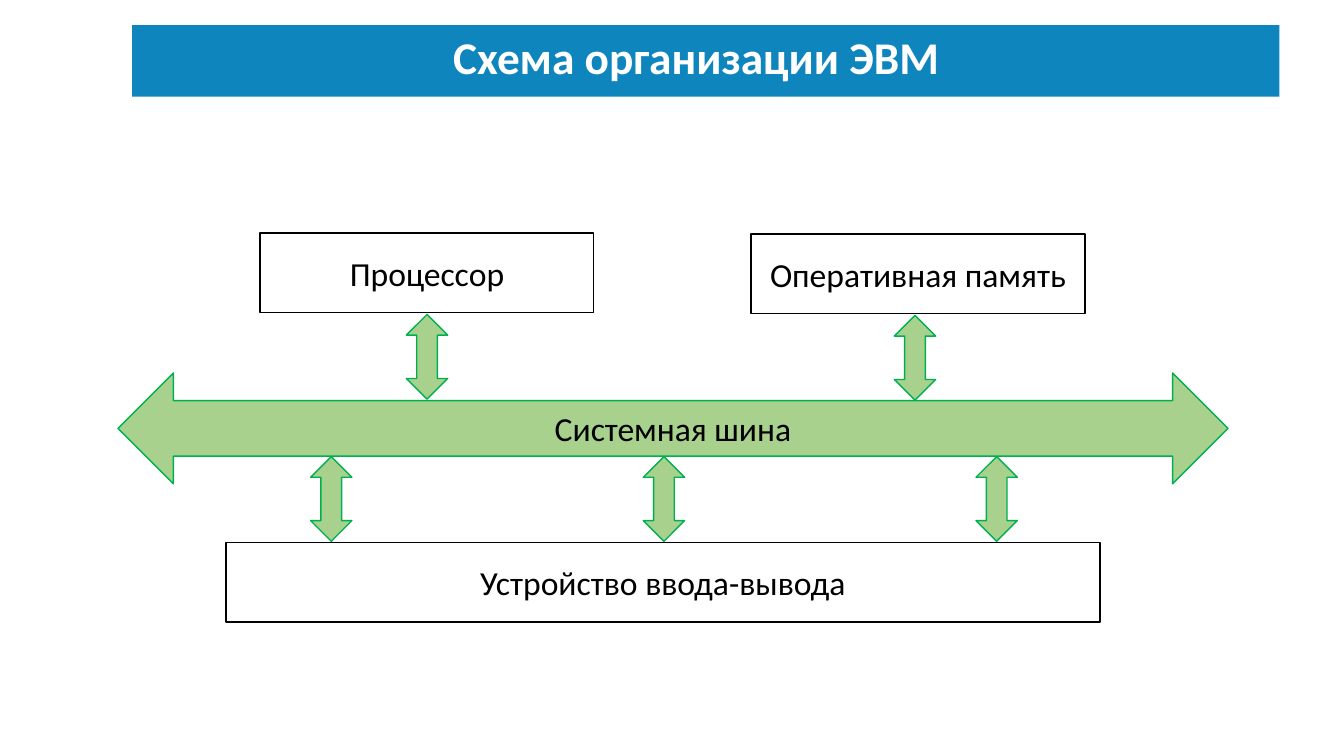
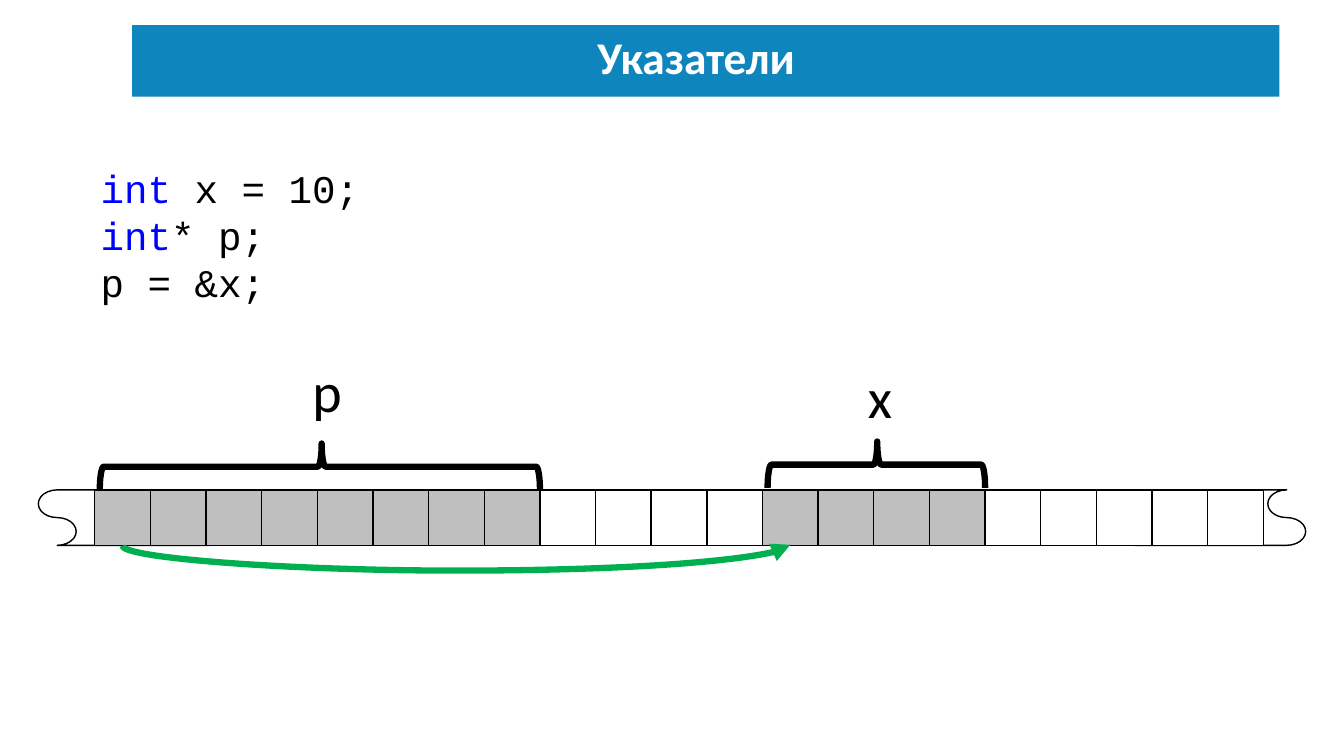
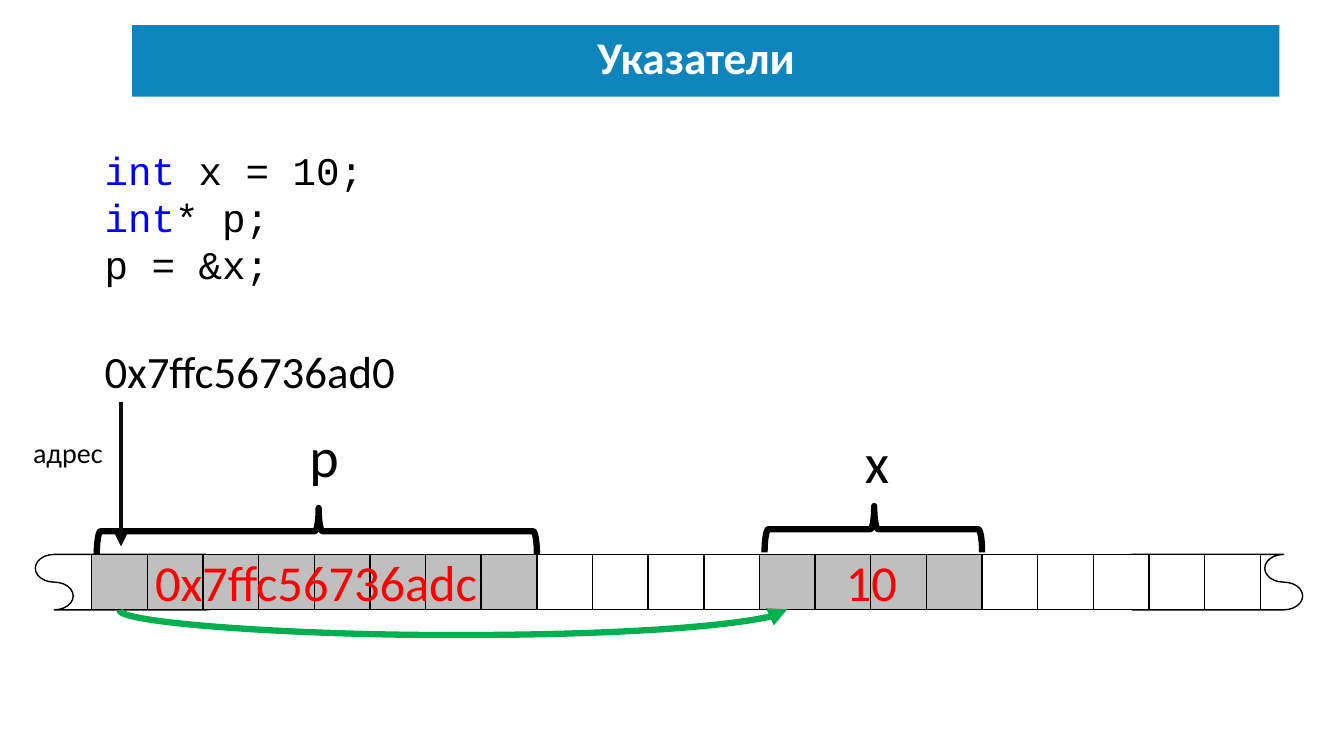
from dataclasses import dataclass

from lxml.etree import SubElement
from pptx import Presentation
from pptx.dml.color import RGBColor
from pptx.enum.shapes import MSO_CONNECTOR as Link, MSO_SHAPE as Preset
from pptx.enum.text import MSO_ANCHOR, MSO_AUTO_SIZE, PP_ALIGN
from pptx.oxml.ns import qn
from pptx.util import Inches, Pt


@dataclass(frozen=True)
class Theme:
    font: str = "Calibri"
    code_font: str = "Courier New"
    band: str = "0F85BE"
    white: str = "FFFFFF"
    black: str = "000000"
    bus: str = "A9D18E"
    green: str = "00B050"
    used_cell: str = "BFBFBF"
    keyword: str = "0000FF"
    value: str = "FF0000"
    pointer: str = "0D0D0D"
    title_size: float = 32.4
    box_size: int = 24
    code_size: int = 28
    name_size: int = 40
    value_size: int = 36
    address_size: int = 32
    note_size: int = 20
    thin: float = 1
    medium: float = 3
    thick: float = 4.5


THEME = Theme()

CELL_COUNT = 21
CELL = 11.59 / CELL_COUNT
CELL_HEIGHT = 0.55
P_CELLS = range(0, 8)
X_CELLS = range(12, 16)

CODE = [
    [("int", THEME.keyword), (" x = 10;", THEME.black)],
    [("int", THEME.keyword), ("* p;", THEME.black)],
    [("p = &x;", THEME.black)],
]


def rgb(value):
    return RGBColor.from_string(value)


def write(frame, lines, size, font=THEME.font, align=None, bold=None):
    """Fill a text frame; each line is a list of (text, colour) runs."""
    for index, runs in enumerate(lines):
        paragraph = frame.add_paragraph() if index else frame.paragraphs[0]
        paragraph.alignment = align
        for text, color in runs:
            run = paragraph.add_run()
            run.text = text
            run.font.name = font
            run.font.size = Pt(size)
            run.font.bold = bold
            run.font.color.rgb = rgb(color)


def add_figure(shapes, preset, left, top, width, height, fill=None,
               line=None, weight=THEME.thin, text=None):
    figure = shapes.add_shape(preset, Inches(left), Inches(top),
                              Inches(width), Inches(height))
    figure.shadow.inherit = False
    if fill:
        figure.fill.solid()
        figure.fill.fore_color.rgb = rgb(fill)
    else:
        figure.fill.background()
    if line:
        figure.line.color.rgb = rgb(line)
        figure.line.width = Pt(weight)
    else:
        figure.line.fill.background()
    if text:
        figure.text_frame.vertical_anchor = MSO_ANCHOR.MIDDLE
        write(figure.text_frame, [[(text, THEME.black)]], THEME.box_size,
              align=PP_ALIGN.CENTER)
    return figure


def add_turned(shapes, preset, left, top, width, height, angle, **style):
    """Add a figure turned by a quarter; the box is the one seen after turning."""
    shift = (width - height) / 2
    figure = add_figure(shapes, preset, left + shift, top - shift,
                        height, width, **style)
    figure.rotation = angle
    return figure


def add_text(slide, left, top, width, height, lines, size,
             font=THEME.font, wrap=True):
    box = slide.shapes.add_textbox(Inches(left), Inches(top),
                                   Inches(width), Inches(height))
    box.text_frame.word_wrap = wrap
    box.text_frame.auto_size = MSO_AUTO_SIZE.SHAPE_TO_FIT_TEXT
    write(box.text_frame, lines, size, font)


def add_arrow(slide, kind, start, end, color, weight):
    arrow = slide.shapes.add_connector(kind, *map(Inches, start + end))
    arrow.line.color.rgb = rgb(color)
    arrow.line.width = Pt(weight)
    properties = arrow.element.spPr
    SubElement(properties.find(qn("a:ln")), qn("a:tailEnd"), type="triangle")
    SubElement(properties, qn("a:effectLst"))
    return arrow


def add_sagging_arrow(slide, left, right, level, sag):
    """Curved arrow between two points of one level, bending below it."""
    middle, half, depth = (left + right) / 2, (right - left) / 2, 0.01
    arrow = add_arrow(slide, Link.CURVE,
                      (middle + depth / 2, level + half),
                      (middle - depth / 2, level - half),
                      THEME.green, THEME.thick)
    properties = arrow.element.spPr
    properties.find(qn("a:xfrm")).set("rot", str(90 * 60000))
    geometry = properties.find(qn("a:prstGeom"))
    guides = geometry.find(qn("a:avLst"))
    if guides is None:
        guides = SubElement(geometry, qn("a:avLst"))
    SubElement(guides, qn("a:gd"), name="adj1",
               fmla=f"val {round(-sag / depth * 100000)}")


def add_band(slide):
    """Draw the title band and hand it to the layout of the slide."""
    band = add_figure(slide.shapes, Preset.RECTANGLE, 1.31, 0.25, 11.38, 0.71,
                      fill=THEME.band)
    band.element.nvSpPr.cNvPr.id = 20
    slide.slide_layout.shapes.element.insert(2, band.element)


def add_titled_slide(deck, layout, text):
    slide = deck.slides.add_slide(layout)
    title = slide.shapes.title
    title.left, title.top = Inches(1.31), Inches(0.32)
    title.width, title.height = Inches(11.19), Inches(0.55)
    frame = title.text_frame
    frame.word_wrap = True
    frame.auto_size = MSO_AUTO_SIZE.NONE
    frame.vertical_anchor = MSO_ANCHOR.MIDDLE
    write(frame, [[(text, THEME.white)]], THEME.title_size,
          align=PP_ALIGN.CENTER, bold=True)
    frame.paragraphs[0].line_spacing = 0.9
    return slide


def draw_computer(slide):
    bus_style = {"fill": THEME.bus, "line": THEME.green}
    add_figure(slide.shapes, Preset.LEFT_RIGHT_ARROW, 1.17, 3.7, 11.01, 1.1,
               text="Системная шина", **bus_style)
    for text, left, top, width in (
        ("Процессор", 2.58, 2.31, 3.31),
        ("Оперативная память", 7.45, 2.32, 3.31),
        ("Устройство ввода-вывода", 2.24, 5.38, 8.67),
    ):
        add_figure(slide.shapes, Preset.RECTANGLE, left, top, width, 0.79,
                   line=THEME.black, text=text)
    upper = [(4.03, 3.12), (8.87, 3.13)]
    lower = [(3.08 + 3.3 * index, 4.53) for index in range(3)]
    for left, top in upper + lower:
        add_turned(slide.shapes, Preset.LEFT_RIGHT_ARROW, left, top,
                   0.41, 0.84, 90, **bus_style)


def draw_memory(slide, left, top):
    """Tape of memory cells with the variables p and x marked on it."""
    tape = slide.shapes.add_group_shape().shapes
    for end_left in (left - 0.56, left + 10.13):
        add_turned(tape, Preset.FLOWCHART_PUNCHED_TAPE, end_left, top, 1.88,
                   CELL_HEIGHT, 270, fill=THEME.white, line=THEME.black)
    for index in range(CELL_COUNT):
        used = index in P_CELLS or index in X_CELLS
        add_figure(tape, Preset.RECTANGLE, left + index * CELL, top,
                   CELL, CELL_HEIGHT, line=THEME.black,
                   fill=THEME.used_cell if used else THEME.white)

    for name, cells, brace_rise, name_left, name_rise in (
        ("p", P_CELLS, 0.46, 2.06, 1.37),
        ("x", X_CELLS, 0.48, 7.57, 1.31),
    ):
        brace = add_turned(slide.shapes, Preset.LEFT_BRACE,
                           left + cells.start * CELL + 0.05, top - brace_rise,
                           len(cells) * CELL - 0.05, 0.46, 90,
                           line=THEME.black, weight=THEME.thick)
        brace.adjustments[1] = 0.496
        add_text(slide, left + name_left, top - name_rise, 0.7, 0.77,
                 [[(name, THEME.black)]], THEME.name_size)

    p_center, x_center = (left + (cells.start + 0.5) * CELL
                          for cells in (P_CELLS, X_CELLS))
    add_sagging_arrow(slide, p_center, x_center, top + CELL_HEIGHT, 0.25)


def add_code(slide, left, top):
    add_text(slide, left, top, 6.67, 1.51, CODE, THEME.code_size,
             THEME.code_font)


def draw_values(slide):
    for text, left, width in (("0x7ffc56736adc", 1.44, 3.56),
                              ("10", 8.29, 0.71)):
        add_text(slide, left, 5.42, width, 0.71, [[(text, THEME.value)]],
                 THEME.value_size)
    add_text(slide, 0.94, 3.36, 6.67, 0.64,
             [[("0x7ffc56736ad0", THEME.black)]], THEME.address_size)
    add_arrow(slide, Link.STRAIGHT, (1.2, 3.99), (1.2, 5.42),
              THEME.pointer, THEME.medium)
    add_text(slide, 0.23, 4.27, 0.9, 0.44, [[("адрес", THEME.black)]],
             THEME.note_size, wrap=False)


def main():
    deck = Presentation()
    deck.slide_width, deck.slide_height = Inches(13.33), Inches(7.5)
    layout = deck.slide_layouts.get_by_name("Title Only")

    computer = add_titled_slide(deck, layout, "Схема организации ЭВМ")
    add_band(computer)
    draw_computer(computer)

    pointers = add_titled_slide(deck, layout, "Указатели")
    draw_memory(pointers, 0.94, 4.86)
    add_code(pointers, 0.9, 1.58)

    addresses = add_titled_slide(deck, layout, "Указатели")
    draw_memory(addresses, 0.91, 5.5)
    add_code(addresses, 0.94, 1.4)
    draw_values(addresses)

    deck.save("out.pptx")


if __name__ == "__main__":
    main()
